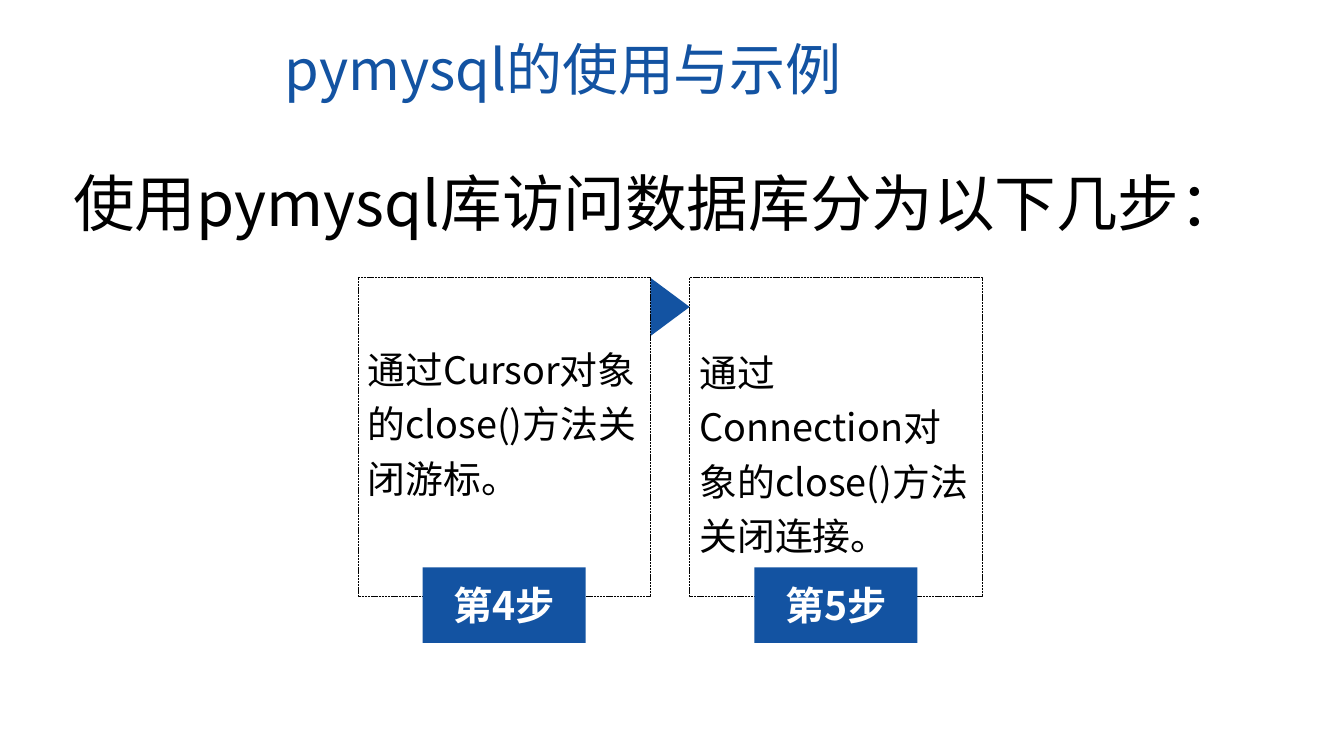
"""Build the slide on the closing steps of using pymysql."""
from pptx import Presentation
from pptx.dml.color import RGBColor
from pptx.enum.dml import MSO_LINE as Dash
from pptx.enum.shapes import MSO_SHAPE as Kind
from pptx.enum.text import MSO_ANCHOR as Anchor, MSO_AUTO_SIZE as Fit, PP_ALIGN as Align
from pptx.oxml.ns import qn
from pptx.util import Cm, Pt
from lxml.etree import SubElement

FONT = "Noto Sans CJK SC"
BLUE, BLACK, WHITE = "1353A2", "000000", "FFFFFF"


def write(shape, text, size, color, bold=False, space=None):
    frame = shape.text_frame
    frame.word_wrap = True
    para = frame.paragraphs[0]
    para.line_spacing = space
    run = para.add_run()
    run.text = text
    font = run.font
    font.name, font.size, font.bold = FONT, Pt(size), bold
    font.color.rgb = RGBColor.from_string(color)
    SubElement(font._element, qn("a:ea")).set("typeface", FONT)
    return frame


def draw(kind, left, top, width, height, fill=None):
    shape = shapes.add_shape(kind, Cm(left), Cm(top), Cm(width), Cm(height))
    shape.shadow.inherit = False
    if fill:
        shape.fill.solid()
        shape.fill.fore_color.rgb = RGBColor.from_string(fill)
        shape.line.fill.background()
    else:
        shape.fill.background()
        shape.line.color.rgb = RGBColor.from_string(BLACK)
        shape.line.width = Pt(0.5)
        shape.line.dash_style = Dash.SQUARE_DOT
    return shape


deck = Presentation()
deck.slide_width, deck.slide_height = Cm(33.87), Cm(19.05)
shapes = deck.slides.add_slide(deck.slide_layouts[6]).shapes

title = shapes.add_textbox(Cm(6.93), Cm(0.74), Cm(14.94), Cm(1.96))
write(title, "pymysql的使用与示例", 40, BLUE).auto_size = Fit.SHAPE_TO_FIT_TEXT

intro = shapes.add_textbox(Cm(1.6), Cm(3.66), Cm(30.56), Cm(2.31))
write(intro, "使用pymysql库访问数据库分为以下几步：", 44, BLACK,
      space=1.2).auto_size = Fit.SHAPE_TO_FIT_TEXT

arrow = draw(Kind.FLOWCHART_EXTRACT, 16.15, 7.24, 1.47, 0.99, BLUE)
arrow.rotation = 90

steps = [
    ("第4步", "通过Cursor对象的close()方法关闭游标。", 8.38),
    ("第5步", "通过Connection对象的close()方法关闭连接。", 8.46),
]
for i, (label, text, top) in enumerate(steps):
    left = 9.02 + 8.36 * i
    draw(Kind.RECTANGLE, left, 6.99, 7.37, 8.05)

    tag = draw(Kind.RECTANGLE, left + 1.63, 14.3, 4.11, 1.9, BLUE)
    frame = write(tag, label, 28, WHITE, bold=True)
    frame.vertical_anchor = Anchor.MIDDLE
    frame.paragraphs[0].alignment = Align.CENTER

    note = shapes.add_textbox(Cm(left), Cm(top), Cm(7.37), Cm(4.3))
    write(note, text, 27, BLACK, space=1.2).auto_size = Fit.SHAPE_TO_FIT_TEXT

deck.save("out.pptx")
